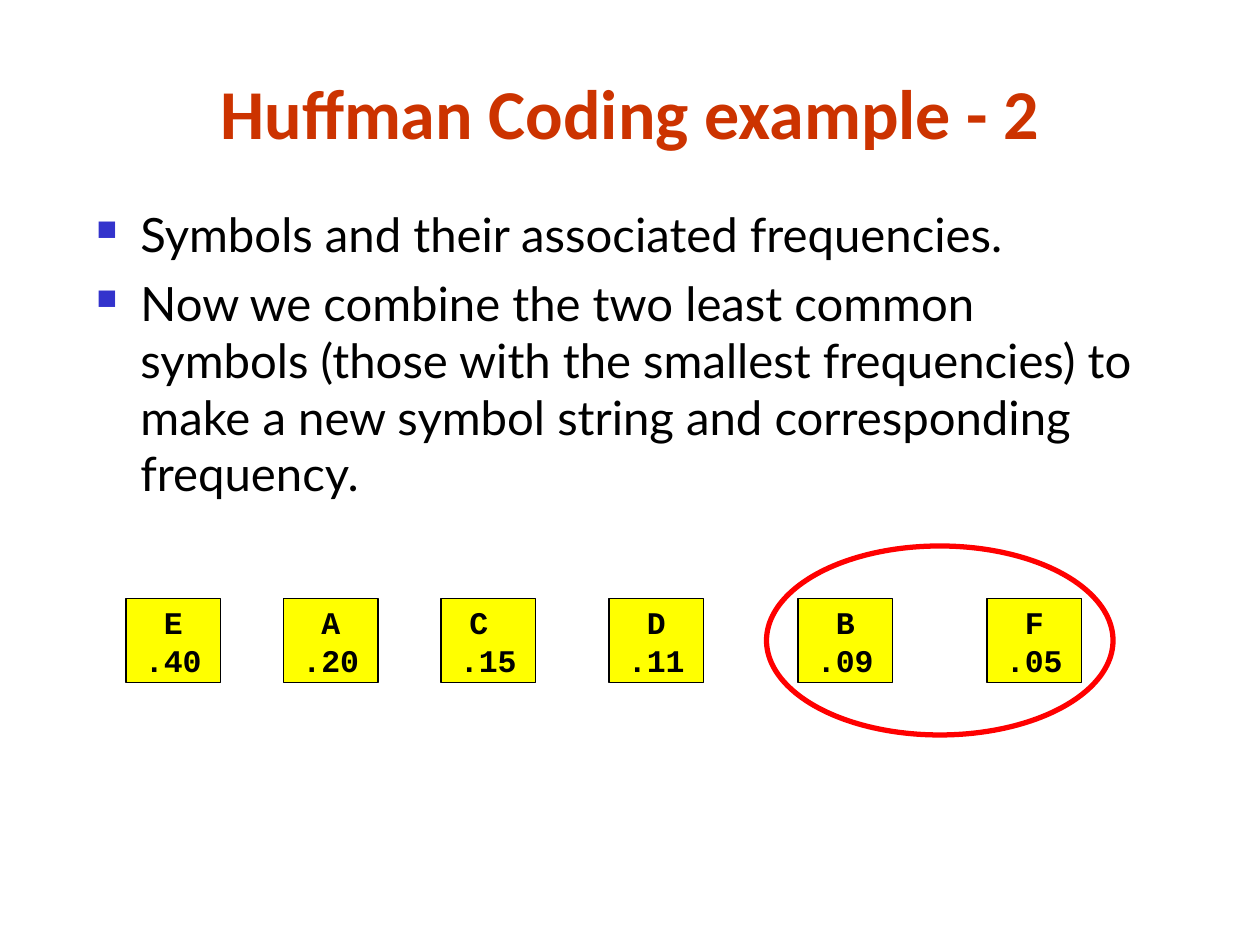
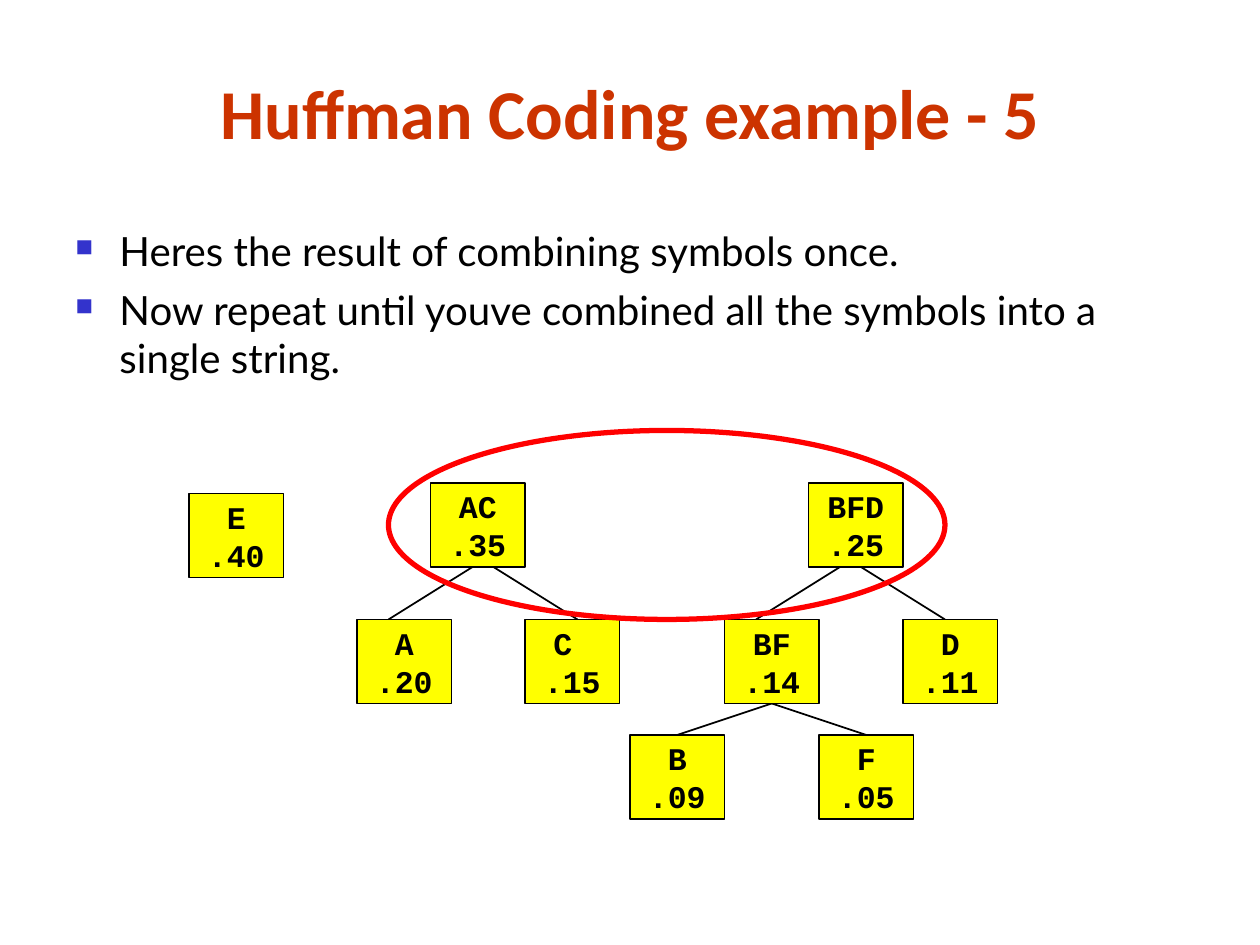
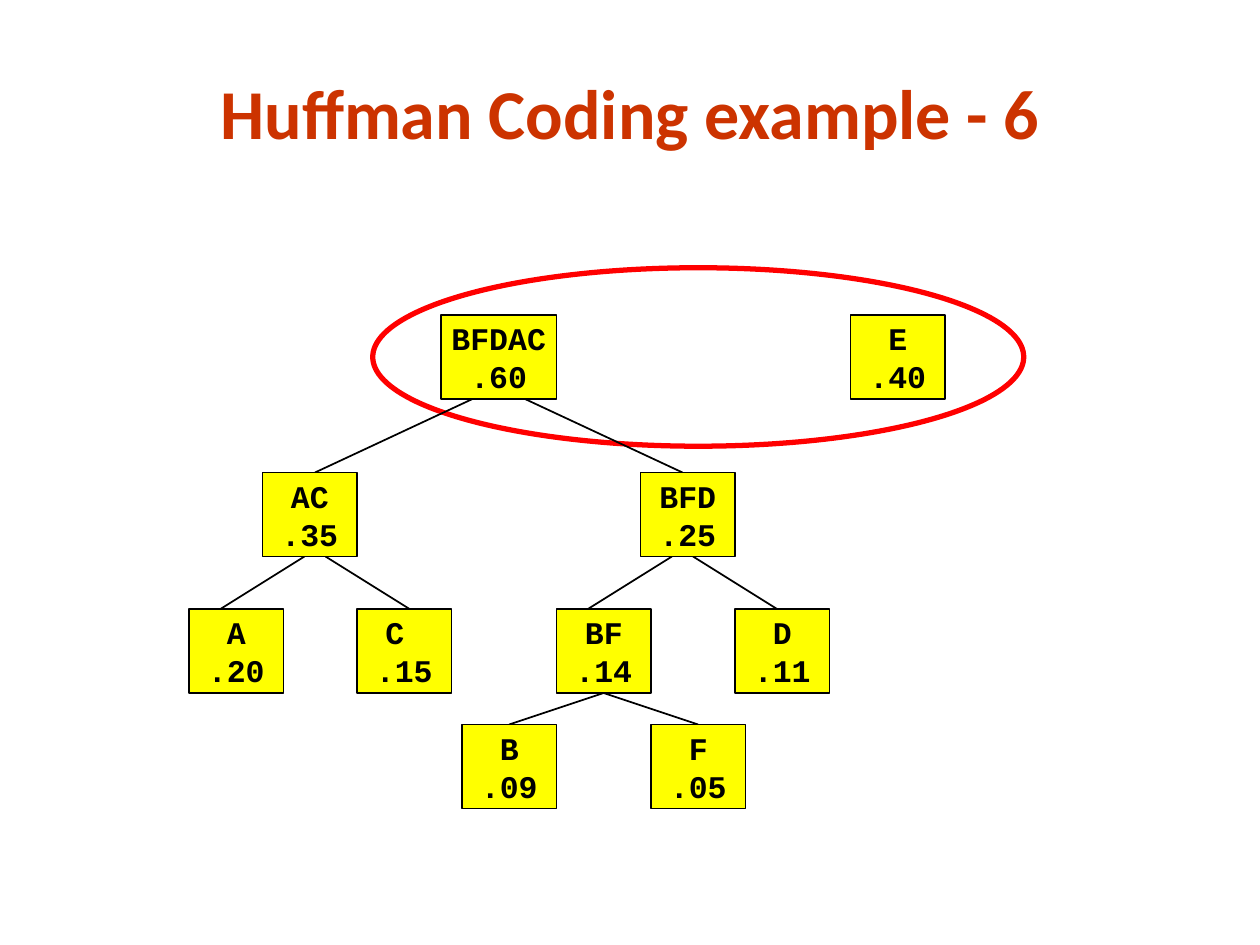
from dataclasses import dataclass

from lxml.etree import SubElement
from pptx import Presentation
from pptx.dml.color import RGBColor as RGB
from pptx.enum.shapes import MSO_CONNECTOR as Wire, MSO_SHAPE as Shape
from pptx.enum.text import MSO_ANCHOR as Anchor, MSO_AUTO_SIZE as Fit, PP_ALIGN as Align
from pptx.oxml.ns import qn
from pptx.util import Pt

PX = 7620  # 120 px to the inch


@dataclass(frozen=True)
class Theme:
    title: RGB = RGB(0xCC, 0x33, 0x00)
    text: RGB = RGB(0, 0, 0)
    box: RGB = RGB(0xFF, 0xFF, 0)
    ring: RGB = RGB(0xFF, 0, 0)
    bullet: str = "3333CC"
    title_font: str = "Calibri"
    body_font: str = "Lato"
    code_font: str = "Courier New"
    title_size: int = 40
    code_size: int = 18


theme = Theme()
BOX_W, BOX_H, WIDE_W = 90, 80, 110

freqs = {"E": ".40", "A": ".20", "C ": ".15", "D": ".11", "B": ".09", "F": ".05",
         "BF": ".14", "BFD": ".25", "AC": ".35", "BFDAC": ".60"}

# Trees under AC and BFD, measured from the top left of AC
forest = {"AC": (0, 0), "A": (-70, 130), "C ": (90, 130), "BFD": (360, 0),
          "BF": (280, 130), "D": (450, 130), "B": (190, 240), "F": (370, 240)}
twigs = [(40, 80, -40, 130), (60, 80, 140, 130), (390, 80, 310, 130),
         (410, 80, 490, 130), (325, 210, 235, 240), (325, 210, 415, 240)]


def style(para, font, size, color, bold=False):
    for run in para.runs:
        run.font.name = font
        run.font.size = Pt(size)
        run.font.color.rgb = color
        run.font.bold = bold


def place(origin):
    """Return the boxes and wires of the forest moved to origin."""
    x, y = origin
    boxes = {name: (x + dx, y + dy) for name, (dx, dy) in forest.items()}
    wires = [(x + a, y + b, x + c, y + d) for a, b, c, d in twigs]
    return boxes, wires


row = {name: (x, 570) for name, x in
       zip(["E", "A", "C ", "D", "B", "F"], [120, 270, 420, 580, 760, 940])}
mid_boxes, mid_wires = place((410, 460))
low_boxes, low_wires = place((250, 450))

steps = [
    dict(number=2, ring=(730, 520, 330, 180), ring_first=False, boxes=row, wires=[],
         area=(80, 190, 1020, 294), size=27, gap=6.8,
         points=["Symbols and their associated frequencies.",
                 "Now we combine the two least common symbols (those with the smallest "
                 "frequencies) to make a new symbol string and corresponding frequency."]),
    dict(number=5, ring=(370, 410, 530, 180), ring_first=False,
         boxes={"E": (180, 470)} | mid_boxes, wires=mid_wires,
         area=(60, 210, 1080, 160), size=23, gap=5.8,
         points=["Heres the result of combining symbols once.",
                 "Now repeat until youve combined all the symbols into a single string."]),
    dict(number=6, ring=(355, 255, 620, 170), ring_first=True,
         boxes={"E": (810, 300), "BFDAC": (420, 300)} | low_boxes,
         wires=[(450, 380, 300, 450), (500, 380, 650, 450)] + low_wires, points=[]),
]

deck = Presentation()
deck.slide_width, deck.slide_height = 1200 * PX, 900 * PX

for step in steps:
    slide = deck.slides.add_slide(deck.slide_layouts[5])
    shapes = slide.shapes

    title = shapes.title
    title.left, title.top, title.width, title.height = (n * PX for n in (90, 60, 1020, 92))
    frame = title.text_frame
    frame.text = f"Huffman Coding example - {step['number']}"
    frame.auto_size = Fit.NONE
    frame.vertical_anchor = Anchor.MIDDLE
    frame.paragraphs[0].alignment = Align.CENTER
    style(frame.paragraphs[0], theme.title_font, theme.title_size, theme.title, True)

    if step["points"]:
        frame = shapes.add_textbox(*(n * PX for n in step["area"])).text_frame
        frame.word_wrap = True
        frame.text = "\n".join(step["points"])
        for i, para in enumerate(frame.paragraphs):
            props = para._p.get_or_add_pPr()
            props.set("marL", str(42 * PX))
            props.set("indent", str(-42 * PX))
            if i:
                para.space_before = Pt(step["gap"])
            tint = SubElement(props, qn("a:buClr"))
            SubElement(tint, qn("a:srgbClr"), val=theme.bullet)
            SubElement(props, qn("a:buSzPct"), val="60000")
            SubElement(props, qn("a:buChar"), char="■")
            style(para, theme.body_font, step["size"], theme.text)

    # The ring marks the pair to combine next
    ring = shapes.add_shape(Shape.OVAL, *(n * PX for n in step["ring"]))
    ring.shadow.inherit = False
    ring.fill.background()
    ring.line.color.rgb = theme.ring
    ring.line.width = Pt(3)

    for ends in step["wires"]:
        wire = shapes.add_connector(Wire.STRAIGHT, *(n * PX for n in ends))
        wire.line.color.rgb = theme.text
        wire.line.width = Pt(1)
        SubElement(wire._element.spPr, qn("a:effectLst"))

    for name, (x, y) in step["boxes"].items():
        width = WIDE_W if len(name) > 3 else BOX_W
        box = shapes.add_shape(Shape.RECTANGLE, x * PX, y * PX, width * PX, BOX_H * PX)
        box.shadow.inherit = False
        box.fill.solid()
        box.fill.fore_color.rgb = theme.box
        box.line.color.rgb = theme.text
        box.line.width = Pt(1)
        frame = box.text_frame
        frame.word_wrap = False
        frame.vertical_anchor = Anchor.MIDDLE
        frame.text = f"{name}\n{freqs[name]}"
        for para in frame.paragraphs:
            para.alignment = Align.CENTER
            style(para, theme.code_font, theme.code_size, theme.text, True)

    if not step["ring_first"]:
        shapes._spTree.append(ring._element)

deck.save("out.pptx")
